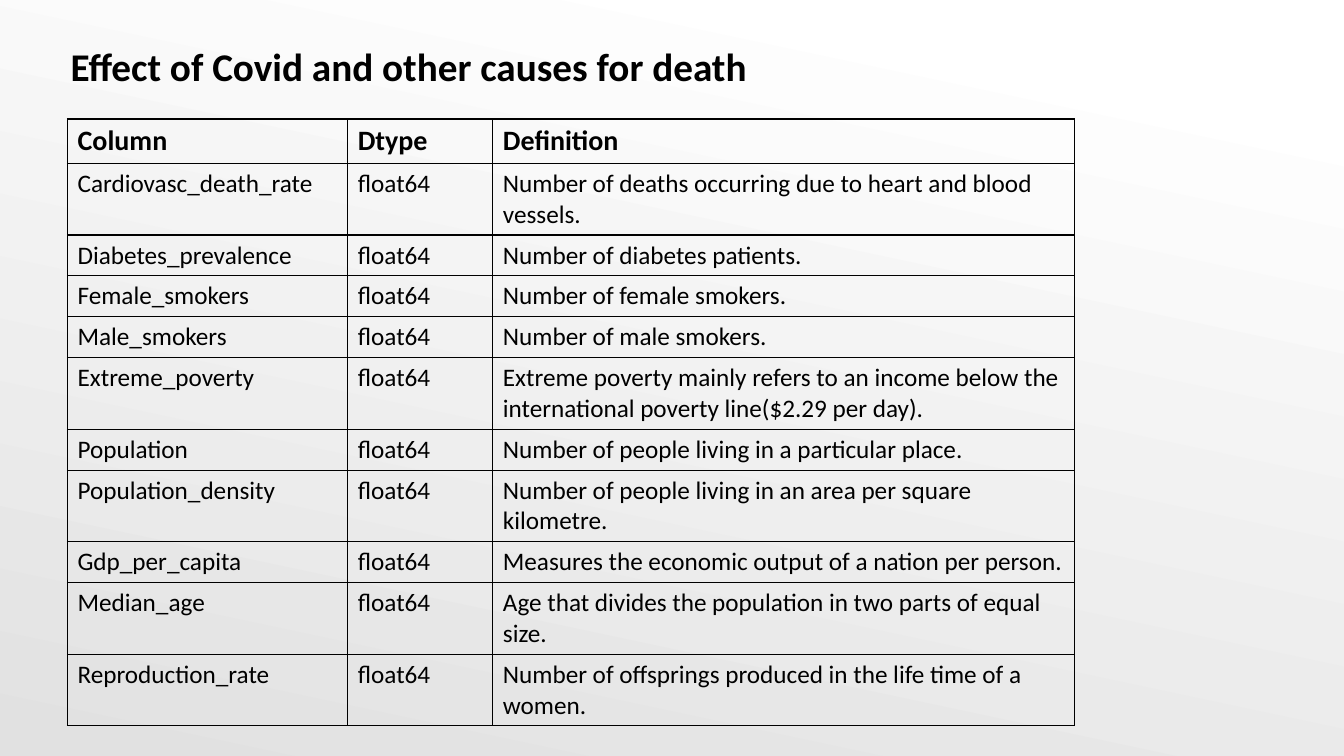
from pptx import Presentation, util as u
from pptx.dml import color
from pptx.enum import text
from pptx.oxml import parse_xml, ns

HUES = {"ink": "000000", "light": "FFFFFF", "shade": "E1E1E1"}
FONT = "Calibri"
COLS, ROWS = 160, 90
WRAP = 54

HEAD = ("Column", "Dtype", "Definition")
FIELDS = [
    ("Cardiovasc_death_rate", "Number of deaths occurring due to heart and blood vessels."),
    ("Diabetes_prevalence", "Number of diabetes patients."),
    ("Female_smokers", "Number of female smokers."),
    ("Male_smokers", "Number of male smokers."),
    ("Extreme_poverty", "Extreme poverty mainly refers to an income below the "
                        "international poverty line($2.29 per day)."),
    ("Population", "Number of people living in a particular place."),
    ("Population_density", "Number of people living in an area per square kilometre."),
    ("Gdp_per_capita", "Measures the economic output of a nation per person."),
    ("Median_age", "Age that divides the population in two parts of equal size."),
    ("Reproduction_rate", "Number of offsprings produced in the life time of a women."),
]


class Deck:
    def __init__(self):
        self.prs = Presentation()
        self.prs.slide_width = u.Inches(13.33)
        self.prs.slide_height = u.Inches(7.5)
        self.slide = self.prs.slides.add_slide(self.prs.slide_layouts[5])

    def wide(self, n):
        return round(self.prs.slide_width * n / COLS)

    def high(self, n):
        return round(self.prs.slide_height * n / ROWS)

    def hue(self, name):
        return color.RGBColor.from_string(HUES[name])

    def style(self, par, size, bold):
        for run in par.runs:
            font = run.font
            font.name, font.size, font.bold = FONT, u.Pt(size), bold
            font.color.rgb = self.hue("ink")

    def ground(self, angle, stops):
        fill = self.slide.background.fill
        fill.gradient()
        fill.gradient_angle = angle
        for stop, (place, name) in zip(fill.gradient_stops, stops):
            stop.position = place
            stop.color.rgb = self.hue(name)

    def title(self, words, x, y, w, h):
        box = self.slide.shapes.title
        box.left, box.top = self.wide(x), self.high(y)
        box.width, box.height = self.wide(w), self.high(h)
        frame = box.text_frame
        frame.text = words
        frame.word_wrap = True
        frame.vertical_anchor = text.MSO_ANCHOR.MIDDLE
        par = frame.paragraphs[0]
        par.alignment = text.PP_ALIGN.LEFT
        par.line_spacing = 0.9
        self.style(par, 28, True)

    def border(self, cell):
        props = cell._tc.get_or_add_tcPr()
        for i, side in enumerate("LRTB"):
            props.insert(i, parse_xml(
                f'<a:ln{side} {ns.nsdecls("a")} w="{u.Pt(1)}"><a:solidFill>'
                f'<a:srgbClr val="{HUES["ink"]}"/></a:solidFill></a:ln{side}>'))

    def table(self, data, x, y, widths, heights):
        grid = self.slide.shapes.add_table(
            len(data), len(widths), self.wide(x), self.high(y),
            self.wide(sum(widths)), self.high(sum(heights))).table
        grid.first_row = grid.horz_banding = False
        for col, w in zip(grid.columns, widths):
            col.width = self.wide(w)
        for r, (row, h) in enumerate(zip(grid.rows, heights)):
            row.height = self.high(h)
            for cell, words in zip(row.cells, data[r]):
                cell.text_frame.text = words
                cell.fill.background()
                self.border(cell)
                self.style(cell.text_frame.paragraphs[0], 18 if r else 20, r == 0)


def main():
    deck = Deck()
    deck.ground(258, [(0.1, "light"), (1, "shade")])
    deck.title("Effect of Covid and other causes for death", 7.2, -1.68, 151.7, 19.8)
    data = [HEAD] + [(name, "float64", note) for name, note in FIELDS]
    heights = [5.28] + [8.4 if len(note) > WRAP else 4.8 for name, note in FIELDS]
    deck.table(data, 8.04, 14.16, (33.36, 17.28, 69.24), heights)
    deck.prs.save("out.pptx")


if __name__ == "__main__":
    main()
